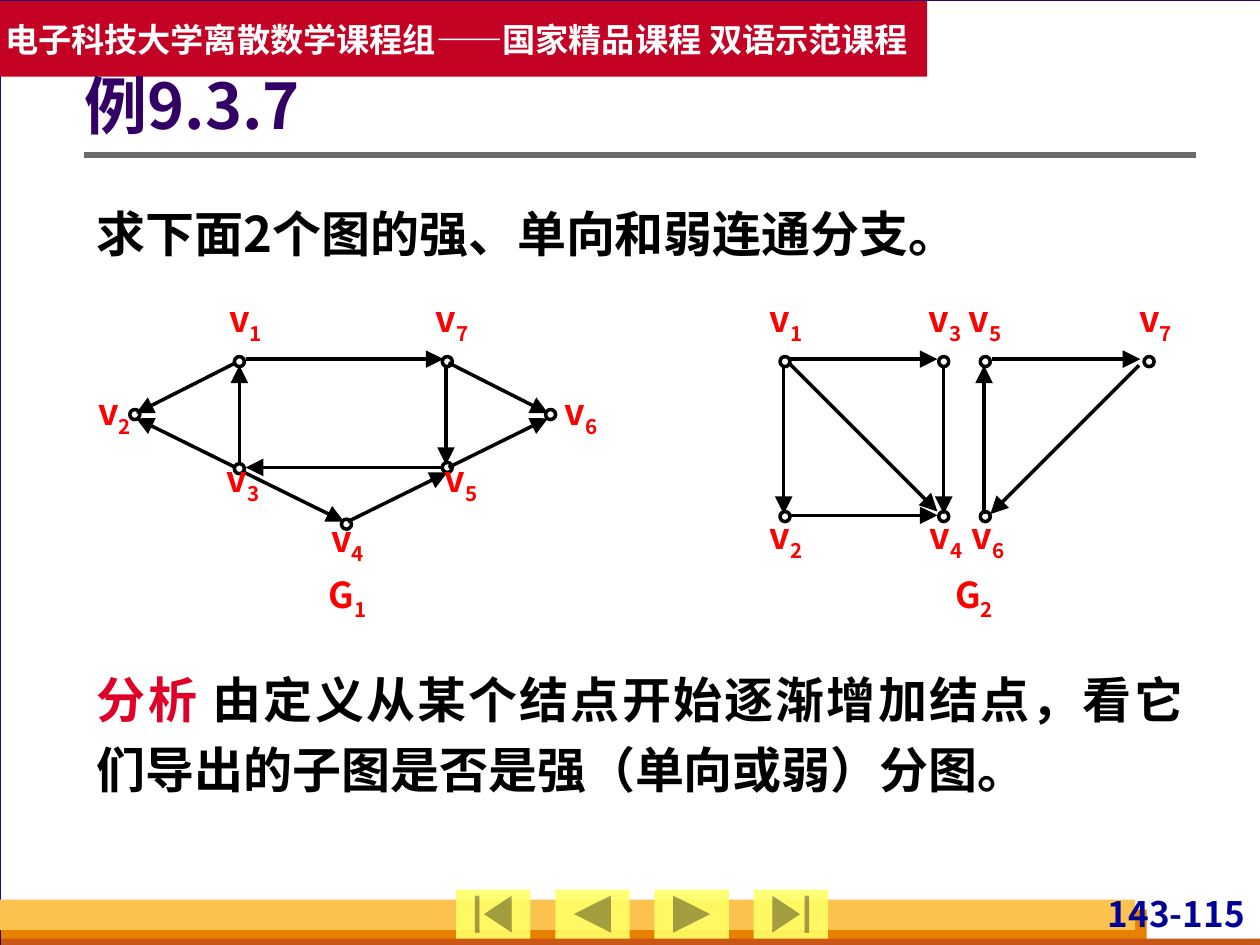
from lxml import etree
from pptx import Presentation
from pptx.dml.color import RGBColor
from pptx.enum.shapes import MSO_CONNECTOR, MSO_SHAPE
from pptx.enum.text import MSO_ANCHOR, PP_ALIGN
from pptx.oxml.ns import qn
from pptx.util import Inches, Pt

FONT = "Noto Sans CJK SC"
WHITE = RGBColor(0xFF, 0xFF, 0xFF)
BLACK = RGBColor(0x00, 0x00, 0x00)
RED = RGBColor(0xFF, 0x00, 0x00)
CRIMSON = RGBColor(0xDF, 0x00, 0x29)
BANNER_RED = RGBColor(0xC3, 0x02, 0x24)
PURPLE = RGBColor(0x33, 0x00, 0x66)
NAVY = RGBColor(0x00, 0x00, 0x99)
GRAY = RGBColor(0x6B, 0x6B, 0x6B)
BACKDROP = RGBColor(0xD8, 0xDA, 0xDA)
ORANGE = RGBColor(0xE8, 0x80, 0x00)
RUST = RGBColor(0xC9, 0x56, 0x16)
AMBER = RGBColor(0xFC, 0xC2, 0x4F)
YELLOW = RGBColor(0xFF, 0xFF, 0x66)

NODE_SIZE = 0.08
LABEL_SIZE = (0.32, 0.39)

# Vertices: subscript, circle (left, top), label (left, top)
G1_NODES = [
    ("1", (1.86, 2.83), (1.79, 2.36)),
    ("2", (1.03, 3.25), (0.75, 3.10)),
    ("3", (1.86, 3.68), (1.77, 3.63)),
    ("4", (2.71, 4.12), (2.60, 4.11)),
    ("5", (3.51, 3.67), (3.50, 3.63)),
    ("6", (4.33, 3.25), (4.45, 3.10)),
    ("7", (3.51, 2.83), (3.43, 2.36)),
]
G2_NODES = [
    ("1", (6.19, 2.83), (6.08, 2.36)),
    ("2", (6.19, 4.06), (6.08, 4.08)),
    ("3", (7.45, 2.83), (7.34, 2.36)),
    ("4", (7.45, 4.06), (7.35, 4.08)),
    ("5", (7.78, 2.83), (7.66, 2.36)),
    ("6", (7.78, 4.06), (7.68, 4.08)),
    ("7", (9.08, 2.83), (9.01, 2.36)),
]
# Directed edges: start x, y, end x, y
G1_EDGES = [
    (1.90, 3.69, 1.90, 2.90),
    (1.95, 2.85, 3.52, 2.85),
    (3.52, 3.71, 1.95, 3.71),
    (3.54, 2.90, 3.54, 3.69),
    (1.87, 2.88, 1.08, 3.28),
    (1.87, 3.71, 1.08, 3.32),
    (3.56, 2.88, 4.35, 3.28),
    (3.56, 3.71, 4.35, 3.32),
    (1.94, 3.75, 2.73, 4.14),
    (2.76, 4.14, 3.55, 3.75),
]
G2_EDGES = [
    (6.22, 2.90, 6.22, 4.08),
    (6.26, 2.85, 7.44, 2.85),
    (6.26, 4.09, 7.44, 4.09),
    (7.49, 2.90, 7.49, 4.08),
    (6.26, 2.88, 7.44, 4.06),
    (7.81, 4.08, 7.81, 2.90),
    (7.87, 2.85, 9.05, 2.85),
    (9.04, 2.90, 7.86, 4.08),
]


def add_block(page, kind, area, fill=None, line=None, line_width=0.75):
    shape = page.shapes.add_shape(kind, *map(Inches, area))
    shape.shadow.inherit = False
    if fill is None:
        shape.fill.background()
    else:
        shape.fill.solid()
        shape.fill.fore_color.rgb = fill
    if line is None:
        shape.line.fill.background()
    else:
        shape.line.color.rgb = line
        shape.line.width = Pt(line_width)
    return shape


def add_line(page, start_x, start_y, end_x, end_y, color, width, arrow=False):
    line = page.shapes.add_connector(
        MSO_CONNECTOR.STRAIGHT, *map(Inches, (start_x, start_y, end_x, end_y)))
    line.line.color.rgb = color
    line.line.width = Pt(width)
    properties = line.element.spPr
    if arrow:
        etree.SubElement(properties.find(qn("a:ln")), qn("a:tailEnd"),
                         type="triangle", w="lg", len="lg")
    etree.SubElement(properties, qn("a:effectLst"))


def write_text(shape, spans, size, align=PP_ALIGN.LEFT, spacing=1.0,
               insets=(0.1, 0.05, 0.1, 0.05), anchor=MSO_ANCHOR.TOP, wrap=True):
    """Fill a shape with one paragraph; spans are (text, color, baseline)."""
    frame = shape.text_frame
    frame.word_wrap = wrap
    frame.vertical_anchor = anchor
    (frame.margin_left, frame.margin_top,
     frame.margin_right, frame.margin_bottom) = map(Inches, insets)
    para = frame.paragraphs[0]
    para.alignment = align
    para.line_spacing = spacing
    for text, color, baseline in spans:
        span = para.add_run()
        span.text = text
        span.font.size = Pt(size)
        span.font.bold = True
        span.font.name = FONT
        span.font.color.rgb = color
        properties = span.font._element
        etree.SubElement(properties, qn("a:ea"), typeface=FONT)
        if baseline:
            properties.set("baseline", str(baseline * 1000))


def add_text(page, area, spans, size, **options):
    box = page.shapes.add_textbox(*map(Inches, area))
    write_text(box, spans, size, **options)


def add_label(page, letter, subscript, place):
    add_text(page, place + LABEL_SIZE,
             [(letter, RED, 0), (subscript, RED, -25)], 20.4,
             align=PP_ALIGN.CENTER, spacing=0.9, insets=(0, 0, 0, 0))


def add_graph(page, name, name_place, nodes, edges):
    for edge in edges:
        add_line(page, *edge, BLACK, 2, arrow=True)
    for subscript, circle, label in nodes:
        add_block(page, MSO_SHAPE.OVAL, circle + (NODE_SIZE, NODE_SIZE),
                  line=BLACK, line_width=2)
        add_label(page, "v", subscript, label)
    add_label(page, "G", name, name_place)


def add_navigation(page):
    kinds = [MSO_SHAPE.ACTION_BUTTON_BEGINNING,
             MSO_SHAPE.ACTION_BUTTON_BACK_OR_PREVIOUS,
             MSO_SHAPE.ACTION_BUTTON_FORWARD_OR_NEXT,
             MSO_SHAPE.ACTION_BUTTON_END]
    for index, kind in enumerate(kinds):
        button = add_block(page, kind, (3.62 + 0.787 * index, 7.06, 0.59, 0.39), YELLOW)
        color = button.element.spPr.find(qn("a:solidFill"))[0]
        etree.SubElement(color, qn("a:alpha"), val="90000")


def add_frame(page):
    page.background.fill.solid()
    page.background.fill.fore_color.rgb = BACKDROP
    add_block(page, MSO_SHAPE.RECTANGLE, (0, 0, 10.01, 7.5), WHITE, PURPLE)
    # Footer bands and page number
    for area, color in [((0.01, 7.22, 9.09, 0.28), ORANGE),
                        ((0.01, 7.45, 10, 0.08), RUST),
                        ((0, 7.14, 9.01, 0.24), AMBER)]:
        add_block(page, MSO_SHAPE.RECTANGLE, area, color)
    add_text(page, (8.7, 7.08, 1.22, 0.38), [("143-115", NAVY, 0)], 20,
             align=PP_ALIGN.RIGHT, insets=(0.04, 0, 0.04, 0))
    add_line(page, 0.67, 1.23, 9.49, 1.23, GRAY, 3)
    add_navigation(page)
    # Course banner
    banner = add_block(page, MSO_SHAPE.RECTANGLE, (0, 0.01, 7.36, 0.6), BANNER_RED)
    write_text(banner, [("电子科技大学离散数学课程组——国家精品课程 双语示范课程", WHITE, 0)],
               19, insets=(0.04, 0.05, 0.04, 0.05), anchor=MSO_ANCHOR.MIDDLE, wrap=False)


def main():
    deck = Presentation()
    deck.slide_width, deck.slide_height = Inches(10), Inches(7.5)
    page = deck.slides.add_slide(deck.slide_layouts[6])
    add_frame(page)

    # Title and question
    add_text(page, (0.67, 0.36, 8.82, 1.01), [("例9.3.7", PURPLE, 0)], 36,
             spacing=0.9, insets=(0, 0.05, 0.1, 0.05), anchor=MSO_ANCHOR.MIDDLE)
    add_text(page, (0.67, 1.47, 8.82, 0.66),
             [("求下面2个图的强、单向和弱连通分支。", BLACK, 0)], 28,
             align=PP_ALIGN.JUSTIFY, spacing=1.2)

    # The two directed graphs
    add_graph(page, "1", (2.6, 4.55), G1_NODES, G1_EDGES)
    add_graph(page, "2", (7.57, 4.55), G2_NODES, G2_EDGES)

    # Analysis
    add_text(page, (0.67, 5.17, 8.82, 1.22),
             [("分析 ", CRIMSON, 0),
              ("由定义从某个结点开始逐渐增加结点，看它们导出的子图是否是强（单向或弱）分图。", BLACK, 0)],
             28, align=PP_ALIGN.JUSTIFY, spacing=1.2)
    deck.save("out.pptx")


if __name__ == "__main__":
    main()
